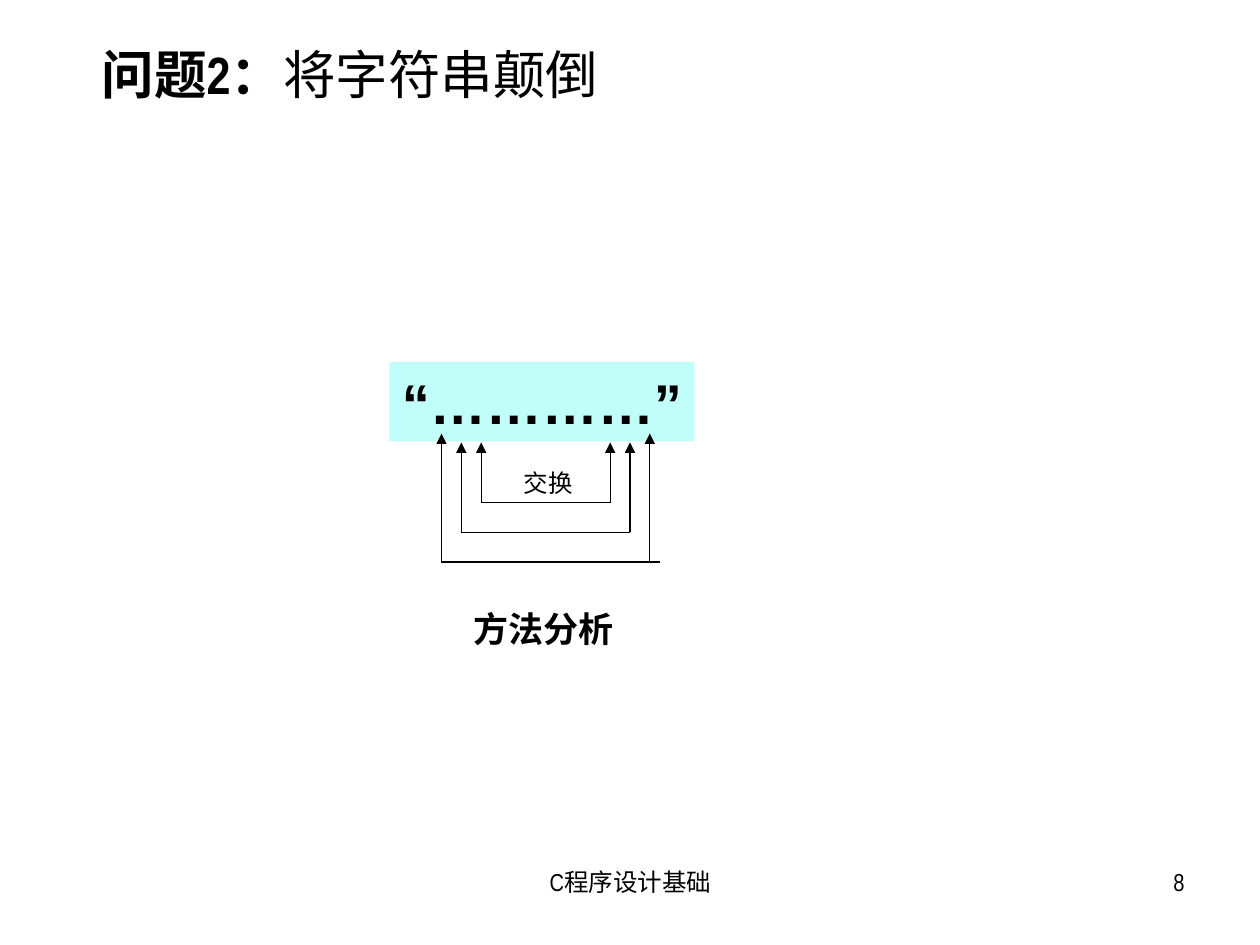
import pptx
import pptx.dml.color
import pptx.enum.shapes
import pptx.enum.text
import pptx.oxml
import pptx.oxml.ns
import pptx.util
from pptx.util import Cm

ALIGN = pptx.enum.text.PP_ALIGN
ANCHOR = pptx.enum.text.MSO_ANCHOR


def color(hex_text):
    return pptx.dml.color.RGBColor.from_string(hex_text)


class SlideBuilder:
    ink = "000000"
    highlight = "C1FEF9"
    line_width = pptx.util.Pt(0.75)

    def __init__(self, slide):
        self.slide = slide

    def fill_text(self, shape, runs, align=ALIGN.LEFT, line_spacing=None, **frame_format):
        """Fill a shape with one paragraph of (text, font format) runs."""
        for name, value in frame_format.items():
            setattr(shape.text_frame, name, value)
        paragraph = shape.text_frame.paragraphs[0]
        paragraph.alignment = align
        paragraph.line_spacing = line_spacing
        for text, font_format in runs:
            run = paragraph.add_run()
            run.text = text
            run.font.color.rgb = color(self.ink)
            for name, value in font_format.items():
                setattr(run.font, name, value)

    def text(self, box, runs, word_wrap=True, **text_format):
        shape = self.slide.shapes.add_textbox(*map(Cm, box))
        self.fill_text(shape, runs, word_wrap=word_wrap, **text_format)

    def panel(self, box, runs):
        shape = self.slide.shapes.add_shape(
            pptx.enum.shapes.MSO_SHAPE.RECTANGLE, *map(Cm, box))
        shape.shadow.inherit = False
        shape.fill.solid()
        shape.fill.fore_color.rgb = color(self.highlight)
        shape.line.fill.background()
        self.fill_text(shape, runs, word_wrap=False, vertical_anchor=ANCHOR.TOP)

    def line(self, shapes, start, end, arrow=False):
        connector = shapes.add_connector(
            pptx.enum.shapes.MSO_CONNECTOR.STRAIGHT, *map(Cm, start + end))
        connector.line.color.rgb = color(self.ink)
        connector.line.width = self.line_width
        properties = connector._element.spPr
        namespace = pptx.oxml.ns.nsdecls("a")
        if arrow:
            properties.find(pptx.oxml.ns.qn("a:ln")).append(
                pptx.oxml.parse_xml(f'<a:tailEnd {namespace} type="triangle"/>'))
        properties.append(pptx.oxml.parse_xml(f"<a:effectLst {namespace}/>"))

    def swap_bracket(self, left, right, top, bottom, base_end):
        """Join two characters with upward arrows and a base line."""
        shapes = self.slide.shapes.add_group_shape().shapes
        for x in (left, right):
            self.line(shapes, (x, bottom), (x, top), arrow=True)
        self.line(shapes, (left, bottom), (base_end, bottom))


def font(size, name="Arial", bold=False):
    return {"size": pptx.util.Pt(size), "name": name, "bold": bold}


def main():
    presentation = pptx.Presentation()
    presentation.slide_width, presentation.slide_height = Cm(25.4), Cm(19.05)
    builder = SlideBuilder(presentation.slides.add_slide(presentation.slide_layouts[6]))

    footer_font = font(14, "Arial Narrow")
    builder.text((8.69, 17.35, 8.05, 1.32), [("C程序设计基础", footer_font)],
                 align=ALIGN.CENTER)
    builder.text((18.21, 17.35, 5.92, 1.32), [("8", footer_font)], align=ALIGN.RIGHT)
    builder.text((1.8, 0.43, 22.76, 2.34),
                 [("问题2：", font(30, "Arial Narrow", True)),
                  ("将字符串颠倒", font(30, "Arial Narrow"))],
                 line_spacing=0.8, vertical_anchor=ANCHOR.MIDDLE)

    builder.panel((7.85, 7.3, 6.15, 1.6), [("“…………”", font(32, bold=True))])

    outer_left, outer_right, outer_bottom = 8.9, 13.1, 11.33
    for level, (top, overhang) in enumerate([(8.74, 0.2), (8.92, 0), (8.92, 0)]):
        inset = 0.4 * level
        right = outer_right - inset
        builder.swap_bracket(outer_left + inset, right, top,
                             outer_bottom - 0.6 * level, right + overhang)

    builder.text((9.3, 12.12, 3.8, 1.09), [("方法分析", font(20, bold=True))])
    builder.text((10.31, 9.32, 1.5, 0.84), [("交换", font(14))], word_wrap=False)
    presentation.save("out.pptx")


if __name__ == "__main__":
    main()
